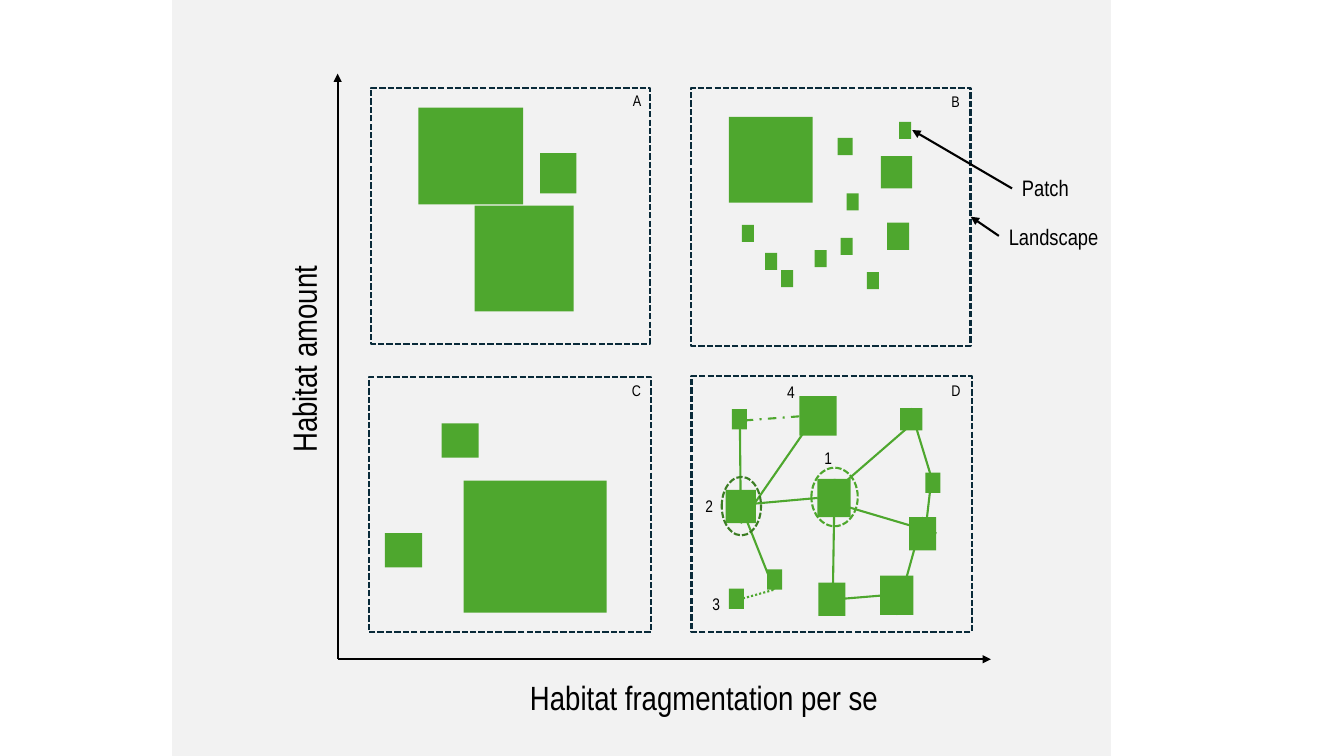
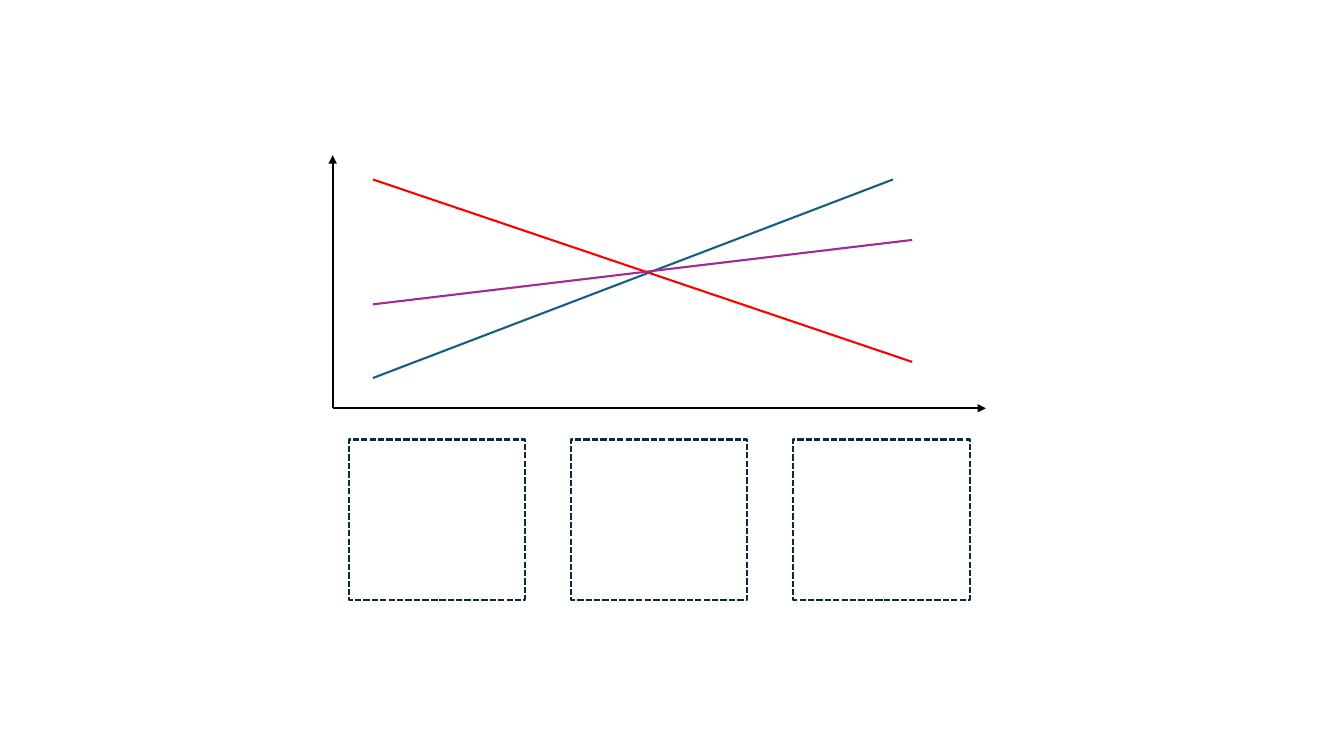
from lxml import etree
from pptx import Presentation
from pptx.dml.color import RGBColor
from pptx.enum.dml import MSO_LINE
from pptx.enum.shapes import MSO_CONNECTOR, MSO_SHAPE
from pptx.enum.text import MSO_AUTO_SIZE
from pptx.oxml.ns import qn
from pptx.util import Pt

RECTANGLE = MSO_SHAPE.RECTANGLE
OVAL = MSO_SHAPE.OVAL
STRAIGHT = MSO_CONNECTOR.STRAIGHT
SHORT_DASH = MSO_LINE.SQUARE_DOT
DOTTED = MSO_LINE.ROUND_DOT
DASH_DOT = MSO_LINE.DASH_DOT
FIT_TEXT = MSO_AUTO_SIZE.SHAPE_TO_FIT_TEXT

COLORS = {
    "white": "FFFFFF",
    "gray": "F2F2F2",
    "black": "000000",
    "navy": "092A39",
    "green": "4EA72E",
    "ring": "4EA72D",
    "dark_green": "3B7D23",
    "blue": "156082",
    "red": "FF0000",
    "purple": "A02B93",
}
FONT = "Arial Narrow"
LINE_WIDTH = 1.5


def add_box(page, place, fill=None, outline=None, dash=None, kind=RECTANGLE):
    box = page.shapes.add_shape(kind, *map(Pt, place))
    box.shadow.inherit = False
    if fill:
        box.fill.solid()
        box.fill.fore_color.rgb = RGBColor.from_string(COLORS[fill])
    else:
        box.fill.background()
    if outline:
        box.line.color.rgb = RGBColor.from_string(COLORS[outline])
        box.line.width = Pt(LINE_WIDTH)
        box.line.dash_style = dash
    else:
        box.line.fill.background()


def add_line(page, ends, color, dash=None, arrow=False):
    connector = page.shapes.add_connector(STRAIGHT, *map(Pt, ends))
    connector.line.color.rgb = RGBColor.from_string(COLORS[color])
    connector.line.width = Pt(LINE_WIDTH)
    connector.line.dash_style = dash
    properties = connector._element.spPr
    if arrow:
        etree.SubElement(properties.find(qn("a:ln")), qn("a:tailEnd"), type="triangle")
    etree.SubElement(properties, qn("a:effectLst"))


deck = Presentation()
deck.slide_width = Pt(960)
deck.slide_height = Pt(540)
blank = deck.slide_layouts[6]
habitat_page = deck.slides.add_slide(blank)
trend_page = deck.slides.add_slide(blank)

add_box(habitat_page, (123.8, 0, 668.9, 540), "gray", "gray")

axes = [
    (habitat_page, 241.2, 470.9, 707.8, 52.6),
    (trend_page, 237.6, 291.6, 704.2, 110.9),
]
for page, left, bottom, right, top in axes:
    add_line(page, (left, bottom, right, bottom), "black", arrow=True)
    add_line(page, (left, bottom, left, top), "black", arrow=True)

landscapes = [
    (265, 62.6, 199.4, 182.9),
    (263.5, 269.3, 201.6, 182.2),
    (493.9, 62.6, 199.4, 184.3),
    (493.9, 268.6, 200.2, 182.9),
]
for place in landscapes:
    add_box(habitat_page, place, "gray", "navy", SHORT_DASH)

patches = [
    (298.8, 77, 74.9, 69.1),
    (385.9, 109.4, 25.9, 28.8),
    (339.1, 146.9, 70.6, 75.6),
    (520.6, 83.5, 59.8, 61.2),
    (629.3, 111.6, 22.3, 23),
    (598.3, 98.6, 10.8, 12.2),
    (633.6, 159.1, 15.8, 19.4),
    (331.2, 343.4, 102.2, 94.3),
    (315.4, 302.4, 26.6, 24.5),
    (275, 380.9, 26.6, 24.5),
    (571, 283, 26.6, 28.1),
    (628.6, 411.1, 23.8, 28.1),
    (583.9, 342, 23.8, 27.4),
    (649.4, 369.4, 19.4, 23.8),
    (518.4, 349.9, 21.6, 23.8),
    (584.6, 416.2, 19.4, 23.8),
    (643, 291.6, 15.8, 15.8),
]
fragments = [
    (546.5, 180.7), (558, 193), (600.5, 169.9), (581.8, 178.6),
    (619.2, 194.4), (604.8, 138.2), (529.9, 160.6), (642.2, 87.1),
]
stepping_stones = [(547.9, 406.8), (661, 337.7), (520.6, 420.5), (522.7, 292.3)]
patches += [(left, top, 8.6, 12.2) for left, top in fragments]
patches += [(left, top, 10.8, 14.4) for left, top in stepping_stones]
for place in patches:
    add_box(habitat_page, place, "green")

links = [
    ((571, 297.4, 533.5, 300.2), DASH_DOT),
    ((579.6, 301, 529.2, 373.7), None),
    ((583.9, 355.7, 520.6, 361.4), None),
    ((524.9, 429.1, 553, 421.2), DOTTED),
    ((527.8, 357.8, 553, 421.2), None),
    ((601.9, 427.7, 628.6, 425.5), None),
    ((596.2, 342, 594.7, 439.2), None),
    ((659.5, 369.4, 640.1, 439.2), None),
    ((583.9, 355.7, 668.9, 380.9), None),
    ((655.2, 299.5, 600.5, 347), None),
    ((528.5, 302.4, 529.2, 373.7), None),
    ((659.5, 392.4, 664.6, 348.5), None),
    ((650.2, 291.6, 666, 343.4), None),
]
for ends, dash in links:
    add_line(habitat_page, ends, "green", dash)

add_box(habitat_page, (579.6, 334.1, 33.1, 41.8), None, "ring", SHORT_DASH, OVAL)
add_box(habitat_page, (515.5, 340.6, 28.1, 41.8), None, "dark_green", SHORT_DASH, OVAL)

for ends in [(713.5, 168.5, 693.4, 154.8), (722.9, 134.6, 651.6, 92.9)]:
    add_line(habitat_page, ends, "black", arrow=True)

labels = [
    ("Habitat amount", (141.8, 237.6, 149.8, 36), 24, False, 270),
    ("Habitat fragmentation per se", (371.5, 480.2, 266.4, 36), 24, False, 0),
    ("Patch", (722.9, 121, 48.2, 26.6), 16, False, 0),
    ("Landscape", (713.5, 155.5, 79.2, 26.6), 16, False, 0),
    ("A", (445, 61.2, 25.2, 20.9), 11, True, 0),
    ("B", (672.5, 62.6, 20.9, 20.9), 11, False, 0),
    ("C", (444.2, 268.6, 25.2, 20.9), 11, True, 0),
    ("D", (672.5, 268.6, 25.2, 20.9), 11, True, 0),
    ("1", (581.8, 316.1, 23.8, 21.6), 12, True, 0),
    ("2", (496.8, 350.6, 23.8, 21.6), 12, True, 0),
    ("3", (501.8, 420.5, 23, 21.6), 12, True, 0),
    ("4", (555.1, 269.3, 23.8, 21.6), 12, True, 0),
]
for text, place, size, wrap, rotation in labels:
    label = habitat_page.shapes.add_textbox(*map(Pt, place))
    label.rotation = rotation
    frame = label.text_frame
    frame.word_wrap = wrap
    frame.auto_size = FIT_TEXT
    para = frame.paragraphs[0]
    para.text = text
    para.font.name = FONT
    para.font.size = Pt(size)
    para.font.color.rgb = RGBColor.from_string(COLORS["black"])

for column in range(3):
    place = (249.1 + column * 158.8, 313.9, 126, 114.5)
    add_box(trend_page, place, "white", "navy", SHORT_DASH)

trends = [
    ((266.4, 270, 637.9, 128.2), "blue"),
    ((266.4, 128.2, 651.6, 258.5), "red"),
    ((266.4, 217.4, 651.6, 171.4), "purple"),
]
for ends, color in trends:
    add_line(trend_page, ends, color)

deck.save("out.pptx")
